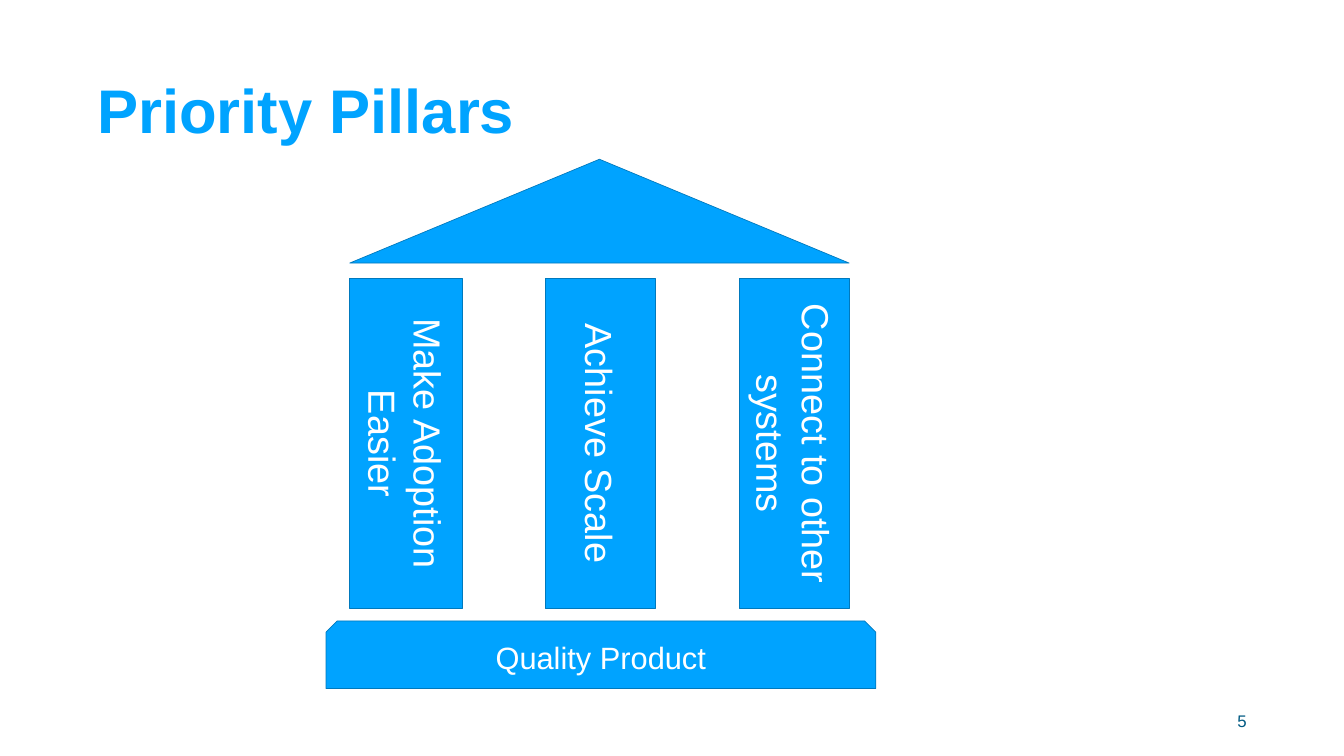
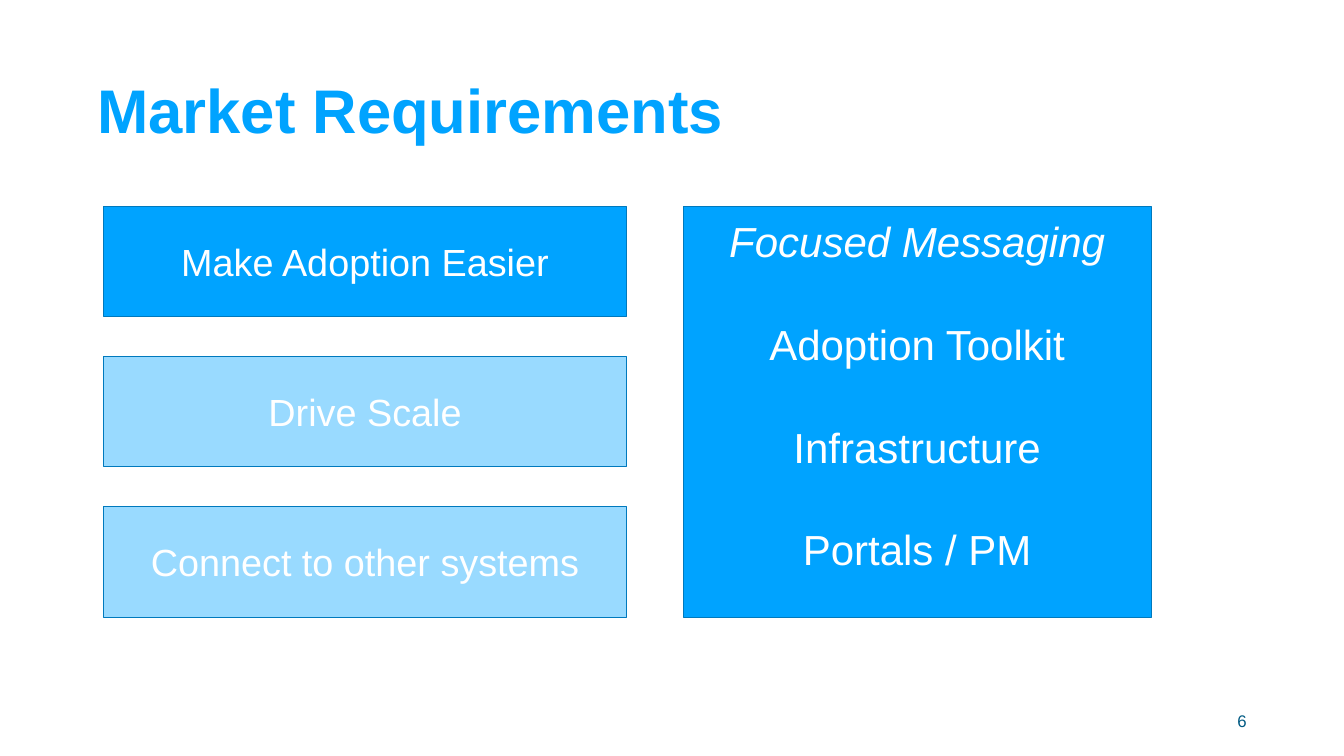
import pptx
import pptx.util
import pptx.dml.color
import pptx.enum.shapes
import pptx.enum.text

Inches = pptx.util.Inches
Pt = pptx.util.Pt
Shapes = pptx.enum.shapes.MSO_SHAPE
Align = pptx.enum.text.PP_ALIGN
Anchor = pptx.enum.text.MSO_ANCHOR

COLORS = {
    "blue": "00A3FF",
    "pale": "99DAFF",
    "outline": "0079BD",
    "footer": "005A83",
    "white": "FFFFFF",
}


def write_text(shape, text, size, color, alignment, bold=False):
    frame = shape.text_frame
    frame.word_wrap = True
    frame.vertical_anchor = Anchor.MIDDLE
    frame.text = text
    for paragraph in frame.paragraphs:
        paragraph.alignment = alignment
        for run in paragraph.runs:
            run.font.name = "Arial"
            run.font.size = Pt(size)
            run.font.bold = bold
            run.font.color.rgb = pptx.dml.color.RGBColor.from_string(COLORS[color])


def add_block(slide, kind, left, top, width, height, text="", size=54, fill="blue"):
    shape = slide.shapes.add_shape(
        kind, Inches(left), Inches(top), Inches(width), Inches(height)
    )
    shape.shadow.inherit = False
    shape.fill.solid()
    shape.fill.fore_color.rgb = pptx.dml.color.RGBColor.from_string(COLORS[fill])
    shape.line.color.rgb = pptx.dml.color.RGBColor.from_string(COLORS["outline"])
    shape.line.width = Pt(1)
    if text:
        write_text(shape, text, size, "white", Align.CENTER)
    return shape


presentation = pptx.Presentation()
presentation.slide_width = Inches(26.67)
presentation.slide_height = Inches(15)

slides = []
for number, heading in enumerate(["Priority Pillars", "Market Requirements"], start=5):
    slide = presentation.slides.add_slide(presentation.slide_layouts[6])
    title = slide.shapes.add_textbox(Inches(1.83), Inches(0.8), Inches(20.68), Inches(2.9))
    write_text(title, heading, 88, "blue", Align.LEFT, bold=True)
    title.text_frame.paragraphs[0].line_spacing = 0.9
    footer = slide.shapes.add_textbox(Inches(18.84), Inches(13.9), Inches(6), Inches(0.8))
    write_text(footer, str(number), 24, "footer", Align.RIGHT)
    slides.append(slide)

pillars_slide, requirements_slide = slides

pillars = [
    ("Make Adoption Easier", 2.24),
    ("Achieve Scale", 2.19),
    ("Connect to other systems", 2.19),
]
for index, (text, thickness) in enumerate(pillars):
    pillar = add_block(
        pillars_slide, Shapes.RECTANGLE,
        4.79 + 3.85 * index, 8.8 - thickness / 2, 6.54, thickness, text,
    )
    pillar.rotation = 90

add_block(
    pillars_slide, Shapes.SNIP_2_SAME_RECTANGLE,
    6.47, 12.32, 10.91, 1.34, "Quality Product", 44,
)
add_block(pillars_slide, Shapes.ISOSCELES_TRIANGLE, 6.94, 3.16, 9.91, 2.06)

requirements = [
    ("Make Adoption Easier", "blue"),
    ("Drive Scale", "pale"),
    ("Connect to other systems", "pale"),
]
for index, (text, fill) in enumerate(requirements):
    add_block(
        requirements_slide, Shapes.RECTANGLE,
        2.06, 4.09 + 2.98 * index, 10.37, 2.19, text, fill=fill,
    )

topics = ["Focused Messaging", "Adoption Toolkit", "Infrastructure", "Portals / PM"]
panel = add_block(
    requirements_slide, Shapes.RECTANGLE,
    13.56, 4.09, 9.28, 8.15, "\n".join(topics), 60,
)
panel.text_frame.vertical_anchor = Anchor.TOP
panel.text_frame.margin_top = Inches(0.18)
for paragraph in panel.text_frame.paragraphs[1:]:
    paragraph.space_before = Pt(75)
panel.text_frame.paragraphs[0].runs[0].font.italic = True

presentation.save("out.pptx")
